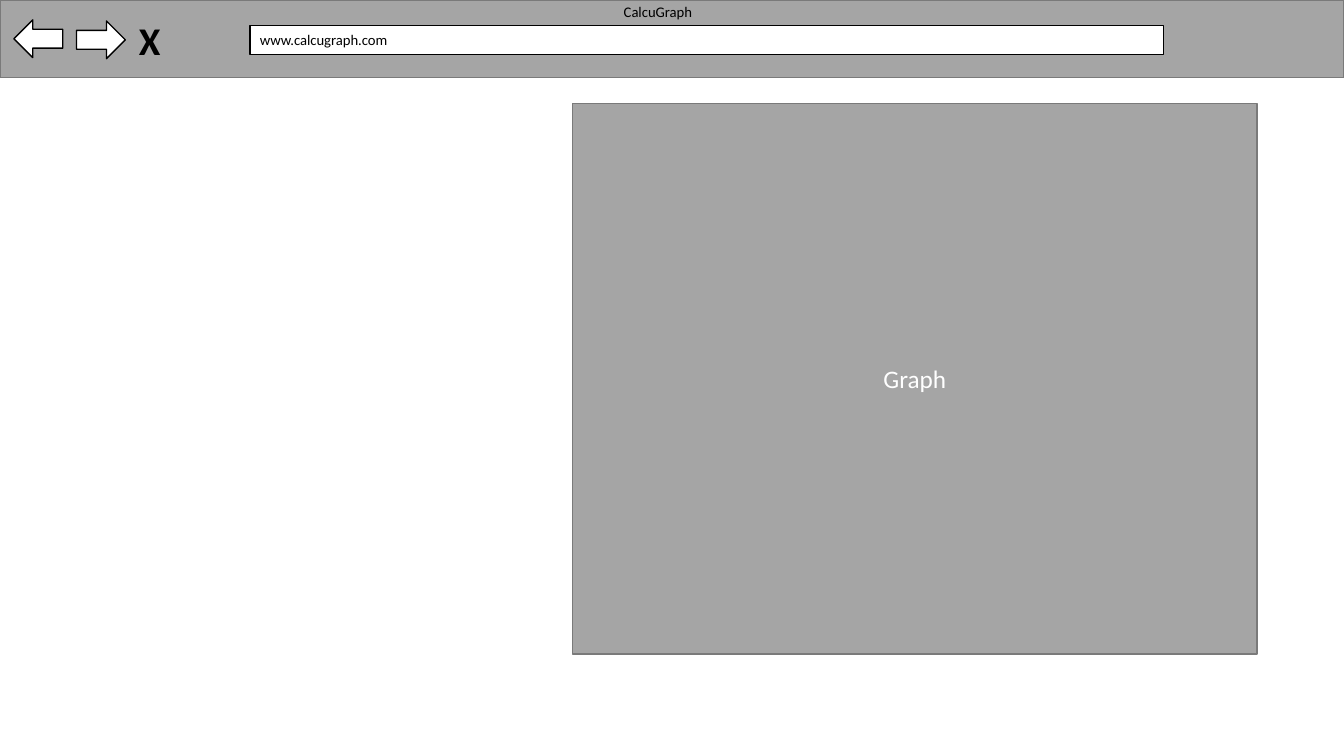
from dataclasses import dataclass

from pptx import Presentation
from pptx.dml.color import RGBColor
from pptx.enum.shapes import MSO_SHAPE
from pptx.enum.text import MSO_ANCHOR, PP_ALIGN
from pptx.shapes.autoshape import Shape
from pptx.slide import Slide
from pptx.util import Cm, Pt

RECTANGLE = MSO_SHAPE.RECTANGLE
RIGHT_ARROW = MSO_SHAPE.RIGHT_ARROW
LEFT, CENTER = PP_ALIGN.LEFT, PP_ALIGN.CENTER
TOP, MIDDLE = MSO_ANCHOR.TOP, MSO_ANCHOR.MIDDLE

FONT = "Calibri"
COLORS = {
    "white": "FFFFFF",
    "black": "000000",
    "gray": "A5A5A5",
    "dark gray": "7A7A7A",
}


@dataclass(frozen=True)
class Frame:
    left: float
    top: float
    width: float
    height: float

    def lengths(self) -> tuple[Cm, Cm, Cm, Cm]:
        return Cm(self.left), Cm(self.top), Cm(self.width), Cm(self.height)


@dataclass(frozen=True)
class Label:
    text: str
    size: float
    color: str = "black"
    bold: bool = False
    align: PP_ALIGN = LEFT
    anchor: MSO_ANCHOR = TOP


@dataclass(frozen=True)
class Panel:
    frame: Frame
    fill: str = "white"
    line: str = "black"
    kind: MSO_SHAPE = RECTANGLE
    rotation: float = 0
    label: Label | None = None


@dataclass(frozen=True)
class Caption:
    frame: Frame
    label: Label


PANELS = [
    Panel(Frame(0, 0, 33.87, 1.96), "gray", "dark gray"),
    Panel(Frame(6.3, 0.64, 23.02, 0.73), label=Label("www.calcugraph.com", 10.5)),
    Panel(Frame(1.93, 0.53, 1.23, 0.95), kind=RIGHT_ARROW),
    Panel(Frame(0.35, 0.5, 1.23, 0.95), kind=RIGHT_ARROW, rotation=180),
    Panel(
        Frame(14.43, 2.61, 17.25, 13.87),
        "gray",
        "dark gray",
        label=Label("Graph", 18, "white", align=CENTER, anchor=MIDDLE),
    ),
]

CAPTIONS = [
    Caption(Frame(3.25, 0.28, 1.2, 1.45), Label("X", 28, bold=True)),
    Caption(Frame(15.47, -0.05, 2.9, 0.7), Label("CalcuGraph", 10.5)),
]


def color(name: str) -> RGBColor:
    return RGBColor.from_string(COLORS[name])


def write_label(box: Shape, label: Label) -> None:
    frame = box.text_frame
    frame.word_wrap = True
    frame.vertical_anchor = label.anchor
    para = frame.paragraphs[0]
    para.text = label.text
    para.alignment = label.align
    para.font.name = FONT
    para.font.size = Pt(label.size)
    para.font.bold = label.bold
    para.font.color.rgb = color(label.color)


def draw_panel(page: Slide, panel: Panel) -> None:
    box = page.shapes.add_shape(panel.kind, *panel.frame.lengths())
    box.rotation = panel.rotation
    box.shadow.inherit = False
    box.fill.solid()
    box.fill.fore_color.rgb = color(panel.fill)
    box.line.color.rgb = color(panel.line)
    box.line.width = Pt(1)
    if panel.label:
        write_label(box, panel.label)


def draw_caption(page: Slide, caption: Caption) -> None:
    box = page.shapes.add_textbox(*caption.frame.lengths())
    write_label(box, caption.label)


def main() -> None:
    deck = Presentation()
    deck.slide_width, deck.slide_height = Cm(33.87), Cm(19.05)
    page = deck.slides.add_slide(deck.slide_layouts[6])
    for panel in PANELS:
        draw_panel(page, panel)
    for caption in CAPTIONS:
        draw_caption(page, caption)
    deck.save("out.pptx")


if __name__ == "__main__":
    main()
